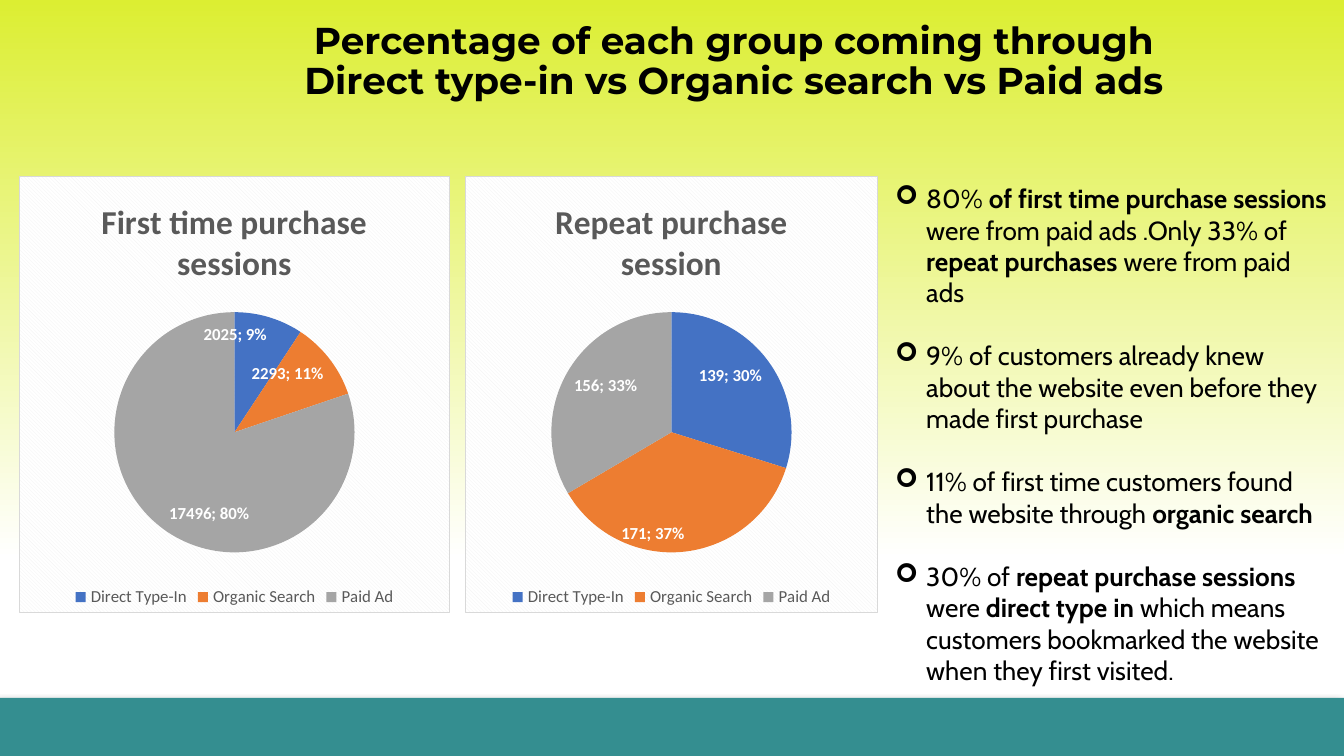
from copy import deepcopy
from lxml import etree
from pptx import Presentation
from pptx import util as u
from pptx.chart.data import CategoryChartData
from pptx.dml.color import RGBColor
from pptx.enum import chart as ch, shapes, text
from pptx.oxml import parse_xml
from pptx.oxml.ns import nsdecls, qn

THEME = {
    "black": "000000", "white": "FFFFFF", "lime": "DCEE32", "teal": "348E90",
    "grey": "595959", "hatch": "F2F2F2", "border": "D9D9D9",
    "slices": ["4472C4", "ED7D31", "A5A5A5"],
    "heading": "Montserrat", "body": "Cabin", "chart": "Calibri",
    "heading_pt": 20, "body_pt": 14, "chart_title_pt": 18, "chart_pt": 10, "label_pt": 9,
}
SCALE = 9144000 / 1344


def px(*lengths):
    return [u.Emu(round(n * SCALE)) for n in lengths]


def style(font, face, size, color, bold=False):
    font.name, font.size, font.bold = THEME[face], u.Pt(THEME[size]), bold
    font.color.rgb = RGBColor.from_string(THEME[color])


prs = Presentation()
prs.slide_width, prs.slide_height = px(1344, 756)
slide = prs.slides.add_slide(prs.slide_layouts[6])

backdrop = slide.background.fill
backdrop.gradient()
backdrop.gradient_angle = 270
for stop, (position, color) in zip(backdrop.gradient_stops, [(0, "lime"), (0.74, "white")]):
    stop.position = position
    stop.color.rgb = RGBColor.from_string(THEME[color])
stop_list = slide.background._cSld.find(".//" + qn("a:gsLst"))
last_stop = deepcopy(stop_list[-1])
last_stop.set("pos", "100000")
stop_list.append(last_stop)

footer = slide.shapes.add_shape(shapes.MSO_SHAPE.RECTANGLE, *px(0, 698, 1344, 58))
footer.fill.solid()
footer.fill.fore_color.rgb = RGBColor.from_string(THEME["teal"])
footer.line.fill.background()
footer._element.spPr.append(parse_xml(
    f'<a:effectLst {nsdecls("a")}><a:outerShdw blurRad="50800" dist="38100" dir="8100000">'
    f'<a:srgbClr val="{THEME["black"]}"><a:alpha val="40000"/></a:srgbClr>'
    '</a:outerShdw></a:effectLst>'))

findings = [
    [("80% ", False), ("of first time purchase sessions ", True),
     ("were from paid ads .Only 33% of ", False), ("repeat purchases", True),
     (" were from paid ads", False)],
    [("9% of customers already knew about the website even before they made first purchase", False)],
    [("11% of first time customers found the website through ", False), ("organic search", True)],
    [("30% of ", False), ("repeat purchase sessions ", True), ("were ", False),
     ("direct type in ", True),
     ("which means customers bookmarked the website when they first visited.", False)],
]
findings_frame = slide.shapes.add_textbox(*px(882, 176, 462, 602)).text_frame
findings_frame.word_wrap = True
for i, finding in enumerate(findings):
    item = findings_frame.add_paragraph() if i else findings_frame.paragraphs[0]
    props = item._p.get_or_add_pPr()
    indent = px(31)[0]
    props.set("marL", str(indent))
    props.set("indent", str(-indent))
    etree.SubElement(props, qn("a:buFont")).set("typeface", "Wingdings")
    etree.SubElement(props, qn("a:buChar")).set("char", "➢")
    if i:
        item.space_before = u.Pt(17)
    for words, bold in finding:
        run = item.add_run()
        run.text = words
        style(run.font, "body", "body_pt", "black", bold)

heading_frame = slide.shapes.add_textbox(*px(247, 48, 974, 61)).text_frame
heading_frame.word_wrap = True
heading_frame.vertical_anchor = text.MSO_ANCHOR.BOTTOM
heading = heading_frame.paragraphs[0]
heading.alignment = text.PP_ALIGN.CENTER
heading.line_spacing = 0.9
run = heading.add_run()
run.text = "Percentage of each group coming through Direct type-in vs Organic search vs Paid ads"
style(run.font, "heading", "heading_pt", "black", True)

CHART_TOP, CHART_HEIGHT, PIE_TOP, PIE_SIZE = 176, 437, 136, 241
session_groups = [
    ("Repeat purchase session", 465, 413, (139, 171, 156)),
    ("First time purchase sessions", 19, 431, (2025, 2293, 17496)),
]
for title, left, width, sessions in session_groups:
    data = CategoryChartData()
    data.categories = ["Direct Type-In", "Organic Search", "Paid Ad"]
    data.add_series("Series 1", sessions)
    pie = slide.shapes.add_chart(
        ch.XL_CHART_TYPE.PIE, *px(left, CHART_TOP, width, CHART_HEIGHT), data).chart
    style(pie.font, "chart", "chart_pt", "black")

    pie.has_title = True
    title_run = pie.chart_title.text_frame.paragraphs[0].add_run()
    title_run.text = title
    style(title_run.font, "chart", "chart_title_pt", "grey", True)
    pie.chart_title.include_in_layout = False

    pie.has_legend = True
    pie.legend.position = ch.XL_LEGEND_POSITION.BOTTOM
    pie.legend.include_in_layout = False
    style(pie.legend.font, "chart", "label_pt", "grey")

    plot = pie.plots[0]
    plot.vary_by_categories = True
    for i, color in enumerate(THEME["slices"]):
        slice_fill = plot.series[0].points[i].format.fill
        slice_fill.solid()
        slice_fill.fore_color.rgb = RGBColor.from_string(color)
    labels = plot.series[0].data_labels
    labels.show_value = labels.show_percentage = True
    labels.position = ch.XL_LABEL_POSITION.INSIDE_END
    style(labels.font, "chart", "label_pt", "white", True)
    labels._element.find(qn("c:showBubbleSize")).addnext(
        parse_xml(f'<c:separator {nsdecls("c")}>; </c:separator>'))

    area = pie._chartSpace.chart.plotArea
    for old in area.findall(qn("c:layout")):
        area.remove(old)
    bounds = {"x": (width - PIE_SIZE) / 2 / width, "y": PIE_TOP / CHART_HEIGHT,
              "w": PIE_SIZE / width, "h": PIE_SIZE / CHART_HEIGHT}
    area.insert(0, parse_xml(
        f'<c:layout {nsdecls("c")}><c:manualLayout><c:layoutTarget val="inner"/>'
        '<c:xMode val="edge"/><c:yMode val="edge"/>'
        + "".join(f'<c:{k} val="{v:.4f}"/>' for k, v in bounds.items())
        + '</c:manualLayout></c:layout>'))
    pie._chartSpace.chart.addnext(parse_xml(
        f'<c:spPr {nsdecls("c", "a")}><a:pattFill prst="dkDnDiag">'
        f'<a:fgClr><a:srgbClr val="{THEME["hatch"]}"/></a:fgClr>'
        f'<a:bgClr><a:srgbClr val="{THEME["white"]}"/></a:bgClr></a:pattFill>'
        f'<a:ln w="9525"><a:solidFill><a:srgbClr val="{THEME["border"]}"/></a:solidFill></a:ln>'
        '</c:spPr>'))

prs.save("out.pptx")
